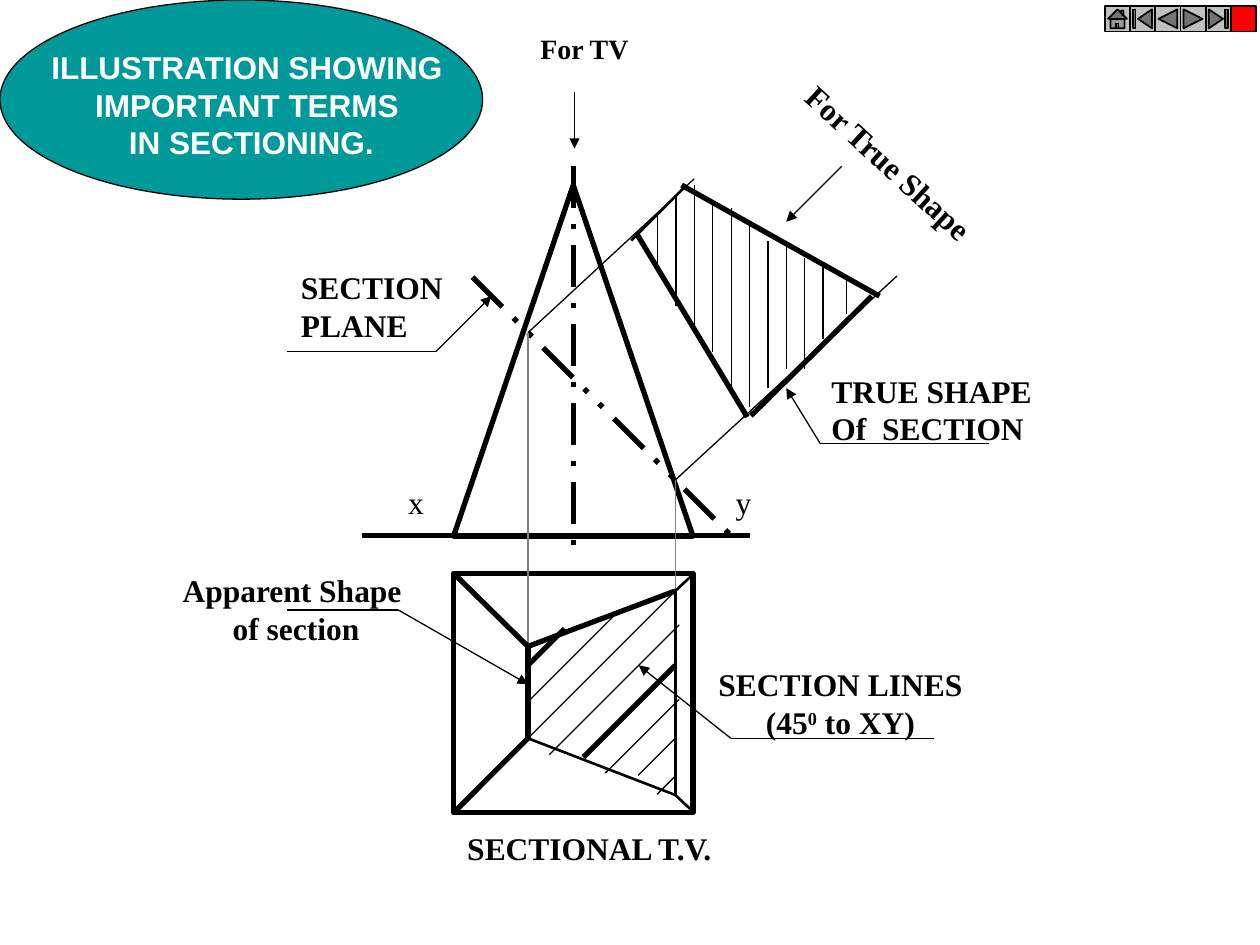
from lxml.etree import SubElement
from pptx import Presentation
from pptx.dml.color import RGBColor
from pptx.enum.dml import MSO_LINE as Dash
from pptx.enum.shapes import MSO_CONNECTOR as Link, MSO_SHAPE as Shape
from pptx.enum.text import MSO_AUTO_SIZE as Fit, PP_ALIGN as Align
from pptx.oxml.ns import qn
from pptx.util import Pt

BLACK = RGBColor(0x00, 0x00, 0x00)
WHITE = RGBColor(0xFF, 0xFF, 0xFF)
GREY = RGBColor(0x80, 0x80, 0x80)
SILVER = RGBColor(0xC0, 0xC0, 0xC0)
TEAL = RGBColor(0x00, 0x99, 0x99)
RED = RGBColor(0xFF, 0x00, 0x00)

THIN, MEDIUM, HEAVY = 0.75, 1.5, 3
SERIF_BOLD = {"name": "Times New Roman", "size": Pt(18), "bold": True}
SERIF_PLAIN = {**SERIF_BOLD, "bold": False}
SERIF_SMALL = {**SERIF_BOLD, "size": Pt(16)}
TITLE = {**SERIF_BOLD, "name": "Arial"}

deck = Presentation()
deck.slide_width, deck.slide_height = Pt(720), Pt(540)
slide = deck.slides.add_slide(deck.slide_layouts[6])
shapes = slide.shapes


def add_line(start, end, weight=THIN, color=BLACK, dash=None, arrow=False):
    line = shapes.add_connector(Link.STRAIGHT, *map(Pt, start + end))
    line.line.color.rgb = color
    line.line.width = Pt(weight)
    if dash:
        line.line.dash_style = dash
    properties = line._element.spPr
    if arrow:
        SubElement(properties.find(qn("a:ln")), qn("a:tailEnd"), type="triangle")
    SubElement(properties, qn("a:effectLst"))


def add_text(place, lines, style, align=Align.LEFT, color=BLACK, turn=0):
    """Each line is a list of spans; every second span is raised."""
    box = shapes.add_textbox(*map(Pt, place))
    box.rotation = turn
    frame = box.text_frame
    frame.word_wrap = False
    frame.auto_size = Fit.SHAPE_TO_FIT_TEXT
    for number, spans in enumerate(lines):
        para = frame.add_paragraph() if number else frame.paragraphs[0]
        para.alignment = align
        for index, text in enumerate(spans):
            span = para.add_run()
            span.text = text
            for name, value in style.items():
                setattr(span.font, name, value)
            span.font.color.rgb = color
            if index % 2:
                span._r.get_or_add_rPr().set("baseline", "30000")


# Title ellipse, square plan and front view of the pyramid
solids = [
    (Shape.OVAL, (0, 0, 275.8, 113.8), TEAL, THIN),
    (Shape.RECTANGLE, (259.2, 327.6, 136.8, 136.8), WHITE, HEAVY),
    (Shape.ISOSCELES_TRIANGLE, (259.2, 105.8, 136.8, 200.6), WHITE, HEAVY),
]
# Navigation buttons in the top right corner
buttons = [
    (Shape.ACTION_BUTTON_HOME, SILVER),
    (Shape.ACTION_BUTTON_BEGINNING, SILVER),
    (Shape.ACTION_BUTTON_BACK_OR_PREVIOUS, SILVER),
    (Shape.ACTION_BUTTON_FORWARD_OR_NEXT, SILVER),
    (Shape.ACTION_BUTTON_END, SILVER),
    (Shape.ACTION_BUTTON_CUSTOM, RED),
]
for index, (kind, fill) in enumerate(buttons):
    solids.append((kind, (631.4 + 14.4 * index, 3.6, 14.4, 14.4), fill, 1))

for kind, place, fill, weight in solids:
    solid = shapes.add_shape(kind, *map(Pt, place))
    solid.shadow.inherit = False
    solid.fill.solid()
    solid.fill.fore_color.rgb = fill
    solid.line.color.rgb = BLACK
    solid.line.width = Pt(weight)

# Corners of the apparent section in the plan
left, right = 301.7, 385.9
top_left, bottom_left = (left, 369.4), (left, 421.9)
top_right, bottom_right = (right, 337.7), (right, 454.3)

# Ground line, axis and section plane
add_line((206.6, 306), (428.4, 306), HEAVY)
add_line((327.6, 95), (327.6, 316.8), HEAVY, dash=Dash.LONG_DASH_DOT)
add_line((270, 158.4), (417.6, 306), HEAVY, dash=Dash.DASH_DOT_DOT)

# Projectors down to the plan and across to the true shape
cut_left, cut_right = (left, 190.1), (right, 274.3)
add_line(cut_left, top_left, color=GREY)
add_line(cut_right, top_right, color=GREY)
add_line(cut_left, (396.7, 102.2))
add_line(cut_right, (512.6, 157.7))

# Slant edges and section outline in the plan
for start, end, weight in [
    ((259.2, 327.6), top_left, HEAVY),
    (bottom_left, (259.2, 464.4), HEAVY),
    (top_left, top_right, HEAVY),
    (bottom_left, bottom_right, MEDIUM),
    (top_left, bottom_left, HEAVY),
    (top_right, bottom_right, MEDIUM),
    (bottom_right, (396.7, 464.4), MEDIUM),
    (top_right, (396.7, 327.6), MEDIUM),
]:
    add_line(start, end, weight)

# Section lines at 45 degrees: upper end, run, weight
for x, y, run, weight in [
    (322.6, 359.3, 20.9, HEAVY),
    (354.2, 348.5, 52.5, THIN),
    (right, 337.7, 84.2, THIN),
    (388.1, 357.1, 74.2, THIN),
    (right, 380.2, 52.5, HEAVY),
    (388.1, 399.6, 42.2, THIN),
    (right, 421.9, 21.2, THIN),
    (right, 443.5, 10.4, THIN),
]:
    add_line((x, y), (x - run, y + run), weight)

# True shape outline
for start, end, weight in [
    ((363.6, 133.2), (427, 238.3), HEAVY),
    ((389.5, 105.8), (502.6, 169.2), HEAVY),
    ((429.1, 237.6), (498.2, 169.2), HEAVY),
    ((360.7, 137.5), (392.4, 105.8), MEDIUM),
]:
    add_line(start, end, weight)

# True shape hatching: evenly spaced, the last line set a little apart
spans_down = [
    (121.7, 153.4), (111.6, 175), (105.8, 190.1), (115.9, 200.9),
    (118.8, 224.6), (126.7, 232.6), (137.5, 221.8), (137.5, 211),
    (147.6, 211), (151.2, 193.7),
]
for index, (top, bottom) in enumerate(spans_down):
    x = 375.8 + 10.5 * index
    add_line((x, top), (x, bottom))
add_line((483.8, 158.4), (483.8, 179.3))

# Leaders: arrow tip, elbow, end of the shelf
for tip, elbow, shelf in [
    ((left, 391), (227.5, 348.5), 164.2),
    ((365, 380.2), (417.6, 421.9), 533.5),
    ((280.8, 169.2), (249.1, 200.9), 164.2),
    ((449.3, 221.8), (468.7, 253.4), 565.2),
]:
    add_line(elbow, tip, arrow=True)
    add_line(elbow, (shelf, elbow[1]))

# Viewing directions
add_line((481, 95), (449.3, 126.7), arrow=True)
add_line((328.3, 52.6), (328.3, 85), arrow=True)

# Title and labels
add_text((21.6, 23.8, 244.1, 72),
         [["ILLUSTRATION SHOWING "], ["IMPORTANT TERMS "], ["IN SECTIONING."]],
         TITLE, Align.CENTER, WHITE)
add_text((226.1, 272.2, 23, 28.8), [["x"]], SERIF_PLAIN)
add_text((413.3, 272.2, 23, 28.8), [["y"]], SERIF_PLAIN)
add_text((468, 208.8, 128.9, 50.4), [["TRUE SHAPE"], ["Of  SECTION"]], SERIF_BOLD)
add_text((164.9, 149.8, 100.1, 50.4), [["SECTION"], ["PLANE"]], SERIF_BOLD)
add_text((403.2, 376.6, 154.1, 50.4),
         [["SECTION LINES"], ["(45", "0", " to XY)"]], SERIF_BOLD, Align.CENTER)
add_text((97.2, 322.6, 144, 50.4),
         [["Apparent Shape "], ["of section"]], SERIF_BOLD, Align.CENTER)
add_text((259.9, 470.2, 159.1, 28.8), [["SECTIONAL T.V."]], SERIF_BOLD)
add_text((301.7, 14.4, 65.5, 26.6), [["For TV"]], SERIF_SMALL)
add_text((440.6, 79.2, 136.1, 28.8), [["For True Shape"]], SERIF_BOLD, turn=42.5)

deck.save("out.pptx")
